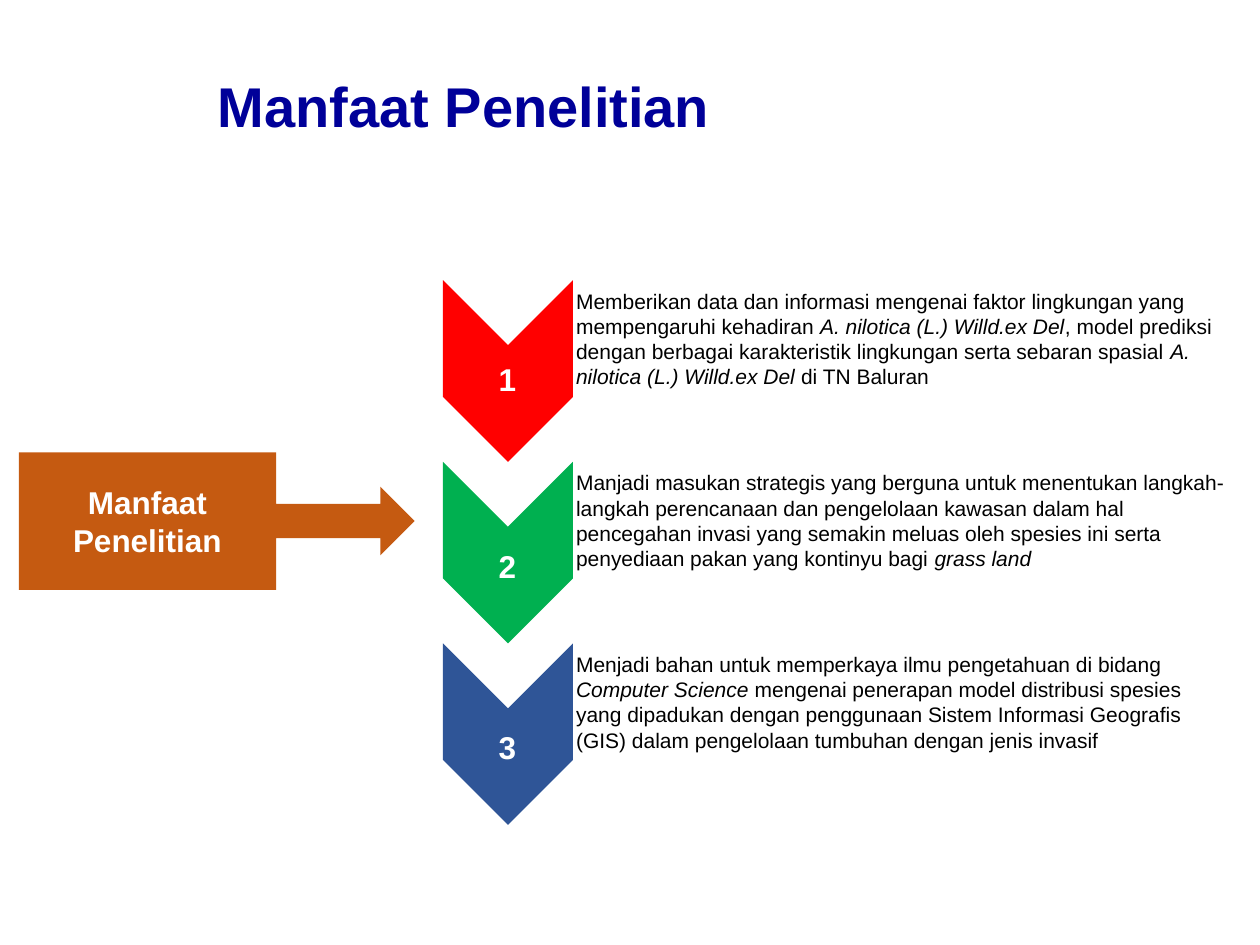
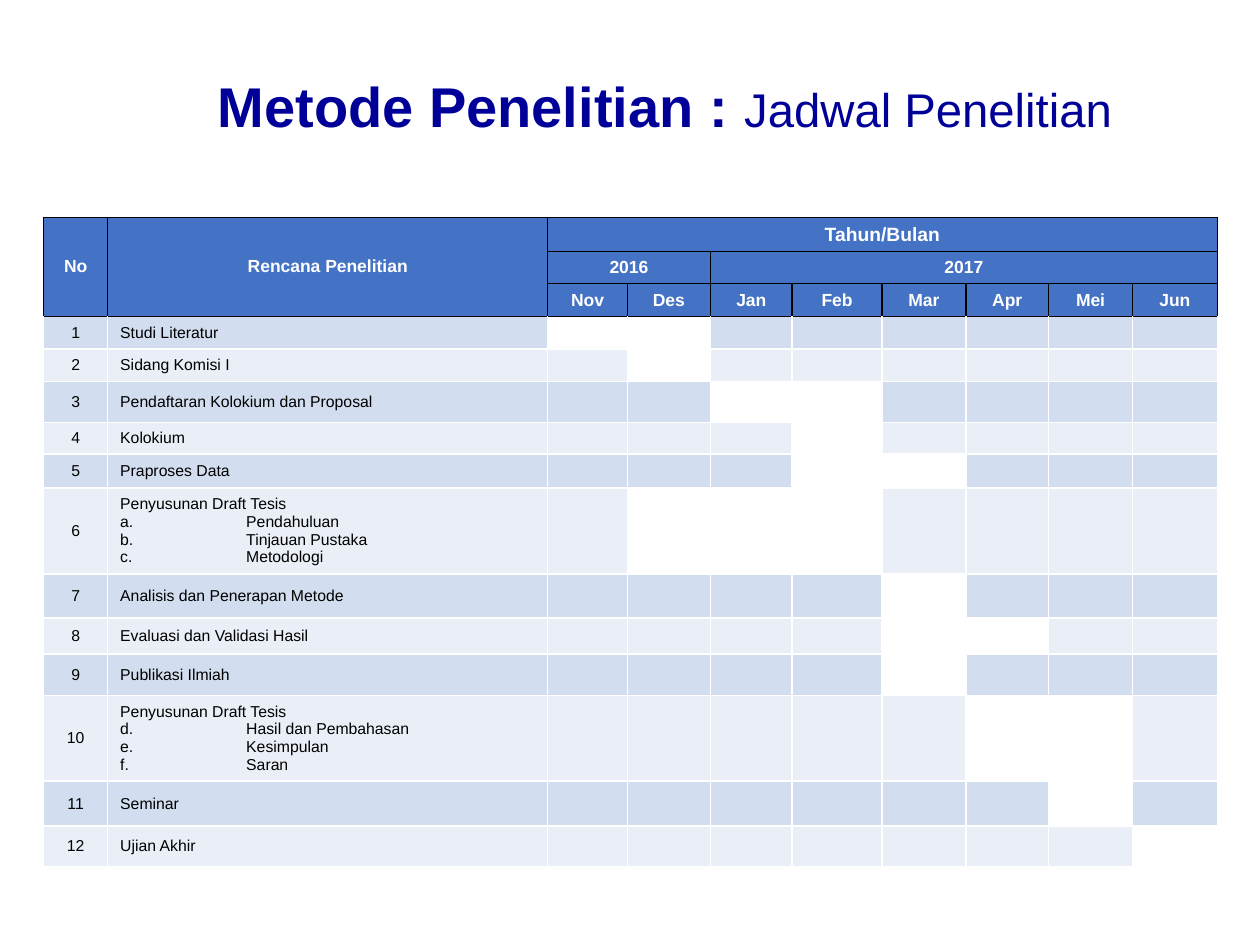
from dataclasses import dataclass

from lxml import etree
from pptx import Presentation
from pptx.dml.color import RGBColor
from pptx.enum.shapes import MSO_SHAPE
from pptx.enum.text import MSO_ANCHOR, PP_ALIGN
from pptx.oxml.ns import qn
from pptx.util import Cm, Pt

LEFT, CENTER = PP_ALIGN.LEFT, PP_ALIGN.CENTER
TOP, MIDDLE = MSO_ANCHOR.TOP, MSO_ANCHOR.MIDDLE
ROUNDED, CHEVRON = MSO_SHAPE.ROUNDED_RECTANGLE, MSO_SHAPE.CHEVRON
ARROW_CALLOUT = MSO_SHAPE.RIGHT_ARROW_CALLOUT
BLANK_LAYOUT = 6


@dataclass(frozen=True)
class Theme:
    font: str = "Arial"
    title: str = "000099"
    black: str = "000000"
    white: str = "FFFFFF"
    callout: str = "C55A11"
    steps: tuple = ("FF0000", "00B050", "2F5597")
    header: str = "4472C4"
    bands: tuple = ("D2DEEF", "EAEFF7")
    title_size: float = 32
    subtitle_size: float = 27
    label_size: float = 18
    body_size: float = 12
    table_top_size: float = 11
    table_header_size: float = 10
    table_size: float = 9


THEME = Theme()

# Benefits: each is a list of spans, a span in italics is a one-item tuple
SPECIES = ("A. nilotica (L.) Willd.ex Del",)
BENEFITS = [
    ["Memberikan data dan informasi mengenai faktor lingkungan yang "
     "mempengaruhi kehadiran ", SPECIES,
     ", model prediksi dengan berbagai karakteristik lingkungan serta "
     "sebaran spasial ", SPECIES, " di TN Baluran"],
    ["Manjadi masukan strategis yang berguna untuk menentukan "
     "langkah-langkah perencanaan dan pengelolaan kawasan dalam hal "
     "pencegahan invasi yang semakin meluas oleh spesies ini serta "
     "penyediaan pakan yang kontinyu bagi ", ("grass land",)],
    ["Menjadi bahan untuk memperkaya ilmu pengetahuan di bidang ",
     ("Computer Science ",),
     "mengenai penerapan model distribusi spesies yang dipadukan dengan "
     "penggunaan Sistem Informasi Geografis (GIS) dalam pengelolaan "
     "tumbuhan dengan jenis invasif"],
]
NUMBER_TOPS = [7.14, 10.9, 14.55]

# Schedule: activity, months in which it runs, row height in cm
MONTHS = ["Nov", "Des", "Jan", "Feb", "Mar", "Apr", "Mei", "Jun"]
ACTIVITIES = [
    ("Studi Literatur", "Nov Des", 0.66),
    ("Sidang Komisi I", "Des", 0.65),
    ("Pendaftaran Kolokium dan Proposal", "Jan Feb", 0.83),
    ("Kolokium", "Feb", 0.63),
    ("Praproses Data", "Feb Mar", 0.69),
    ("Penyusunan Draft Tesis\na.\tPendahuluan\nb.\tTinjauan Pustaka\n"
     "c. \tMetodologi", "Des Jan Feb", 1.67),
    ("Analisis dan Penerapan Metode", "Mar", 0.89),
    ("Evaluasi dan Validasi Hasil", "Mar Apr", 0.73),
    ("Publikasi Ilmiah", "Mar", 0.83),
    ("Penyusunan Draft Tesis\nd. \tHasil dan Pembahasan\n"
     "e. \tKesimpulan\nf.\tSaran", "Apr Mei", 1.67),
    ("Seminar", "Mei", 0.91),
    ("Ujian Akhir", "Jun", 0.81),
]
HEADER_HEIGHTS = [0.69, 0.65, 0.66]
COLUMN_WIDTHS = [1.29, 8.87, 1.61, 1.67, 1.65, 1.81, 1.69, 1.67, 1.69, 1.71]


def rgb(colour):
    return RGBColor.from_string(colour)


def add_tab_stop(para, position):
    tabs = etree.SubElement(para._p.get_or_add_pPr(), qn("a:tabLst"))
    etree.SubElement(tabs, qn("a:tab"), pos=str(Cm(position)), algn="l")


def write(frame, paragraphs, size=THEME.body_size, colour=THEME.black,
          bold=False, align=LEFT, anchor=MIDDLE, spacing=None, tab=None):
    """Fill a frame; a paragraph is a list of strings, (italic,) or Span."""
    frame.vertical_anchor = anchor
    for index, spans in enumerate(paragraphs):
        para = frame.paragraphs[0] if index == 0 else frame.add_paragraph()
        para.alignment = align
        if spacing:
            para.line_spacing = spacing
        if tab and "\t" in "".join(spans):
            add_tab_stop(para, tab)
        for content in spans:
            span = para.add_run()
            italic = isinstance(content, tuple)
            span.text = content[0] if italic else content
            font = span.font
            font.name, font.size, font.color.rgb = THEME.font, Pt(size), rgb(colour)
            font.bold, font.italic = bold, italic
        if not spans:
            etree.SubElement(para._p, qn("a:endParaRPr"), sz=str(int(size * 100)))


def add_text(page, left, top, width, height, paragraphs, wrap=True, **text_format):
    box = page.shapes.add_textbox(Cm(left), Cm(top), Cm(width), Cm(height))
    box.text_frame.word_wrap = wrap
    write(box.text_frame, paragraphs, **text_format)
    return box


def add_block(page, kind, left, top, width, height, fill):
    block = page.shapes.add_shape(kind, Cm(left), Cm(top), Cm(width), Cm(height))
    block.shadow.inherit = False
    block.fill.solid()
    block.fill.fore_color.rgb = rgb(fill)
    block.line.fill.background()
    return block


def add_title(page, title, subtitle=None):
    box = add_text(page, 4.14, 1.02, 19.51, 2.39, [[title]], bold=True,
                   size=THEME.title_size, colour=THEME.title, spacing=0.9)
    if subtitle:
        span = box.text_frame.paragraphs[0].add_run()
        span.text = subtitle
        font = span.font
        font.name, font.size = THEME.font, Pt(THEME.subtitle_size)
        font.color.rgb = rgb(THEME.title)


def set_borders(cell, colour, top_colour=None):
    properties = cell._tc.get_or_add_tcPr()
    for side in "LRTB":
        line = etree.SubElement(properties, qn(f"a:ln{side}"), w=str(Pt(1)))
        fill = etree.SubElement(line, qn("a:solidFill"))
        shade = top_colour if side == "T" and top_colour else colour
        etree.SubElement(fill, qn("a:srgbClr"), val=shade)


def style_cell(cell, fill, text="", border=THEME.white, top_border=None,
               **text_format):
    set_borders(cell, border, top_border)
    cell.fill.solid()
    cell.fill.fore_color.rgb = rgb(fill)
    cell.margin_top = cell.margin_bottom = Cm(0.1)
    cell.vertical_anchor = MIDDLE
    paragraphs = [[line] if line else [] for line in text.split("\n")]
    write(cell.text_frame, paragraphs, **text_format)


def add_schedule_header(table):
    # Label by (row, column), with the last row and column it covers
    labels = {
        (0, 0): ("No", 2, 0),
        (0, 1): ("Rencana Penelitian", 2, 1),
        (0, 2): ("Tahun/Bulan", 0, 9),
        (1, 2): ("2016", 1, 3),
        (1, 4): ("2017", 1, 9),
    }
    labels.update({(2, column): (month, 2, column)
                   for column, month in enumerate(MONTHS, 2)})
    for row in range(len(HEADER_HEIGHTS)):
        for column in range(len(COLUMN_WIDTHS)):
            text = labels.get((row, column), ("",))[0]
            size = THEME.table_header_size
            if (row, column) == (0, 2):
                size = THEME.table_top_size
            style_cell(table.cell(row, column), THEME.header, text,
                       border=THEME.black, size=size, colour=THEME.white,
                       bold=True, align=CENTER)
    for (row, column), (_, last_row, last_column) in labels.items():
        if (row, column) != (last_row, last_column):
            table.cell(row, column).merge(table.cell(last_row, last_column))


def add_schedule(page):
    heights = HEADER_HEIGHTS + [height for _, _, height in ACTIVITIES]
    frame = page.shapes.add_table(
        len(heights), len(COLUMN_WIDTHS), Cm(0.88), Cm(4.38),
        Cm(sum(COLUMN_WIDTHS)), Cm(sum(heights)))
    table = frame.table
    table.first_row = table.horz_banding = False
    for column, width in zip(table.columns, COLUMN_WIDTHS):
        column.width = Cm(width)
    for row, height in zip(table.rows, heights):
        row.height = Cm(height)
    add_schedule_header(table)

    # Activity rows: the months in use stay white
    for index, (activity, active, _) in enumerate(ACTIVITIES):
        row = index + len(HEADER_HEIGHTS)
        band = THEME.bands[index % 2]
        shared = {"size": THEME.table_size,
                  "top_border": THEME.black if index == 0 else None}
        style_cell(table.cell(row, 0), band, str(index + 1), align=CENTER, **shared)
        style_cell(table.cell(row, 1), band, activity, tab=2.54, **shared)
        for column, month in enumerate(MONTHS, 2):
            fill = THEME.white if month in active.split() else band
            style_cell(table.cell(row, column), fill, **shared)


def add_benefits(page):
    pitch = 3.66
    for index, spans in enumerate(BENEFITS):
        panel = add_block(page, ROUNDED, 11.25, 5.66 + index * pitch,
                          13.84, 2.34, THEME.white)
        write(panel.text_frame, [spans])
    callout = add_block(page, ARROW_CALLOUT, 0.38, 9.12, 7.98, 2.77, THEME.callout)
    write(callout.text_frame, [["Manfaat Penelitian"]], size=THEME.label_size,
          colour=THEME.white, bold=True, align=CENTER)
    for index, (fill, number_top) in enumerate(zip(THEME.steps, NUMBER_TOPS)):
        chevron = add_block(page, CHEVRON, 8.41, 6.17 + index * pitch,
                            pitch, 2.62, fill)
        chevron.rotation = 90
        add_text(page, 9.8, number_top, 0.86, 1.02, [[str(index + 1)]],
                 wrap=False, size=THEME.label_size, colour=THEME.white,
                 bold=True, align=CENTER, anchor=TOP)


def add_page(deck, title, subtitle=None):
    page = deck.slides.add_slide(deck.slide_layouts[BLANK_LAYOUT])
    add_title(page, title, subtitle)
    return page


def main():
    deck = Presentation()
    deck.slide_width, deck.slide_height = Cm(25.4), Cm(19.05)
    add_benefits(add_page(deck, "Manfaat Penelitian"))
    add_schedule(add_page(deck, "Metode Penelitian : ", "Jadwal Penelitian"))
    deck.save("out.pptx")


if __name__ == "__main__":
    main()
